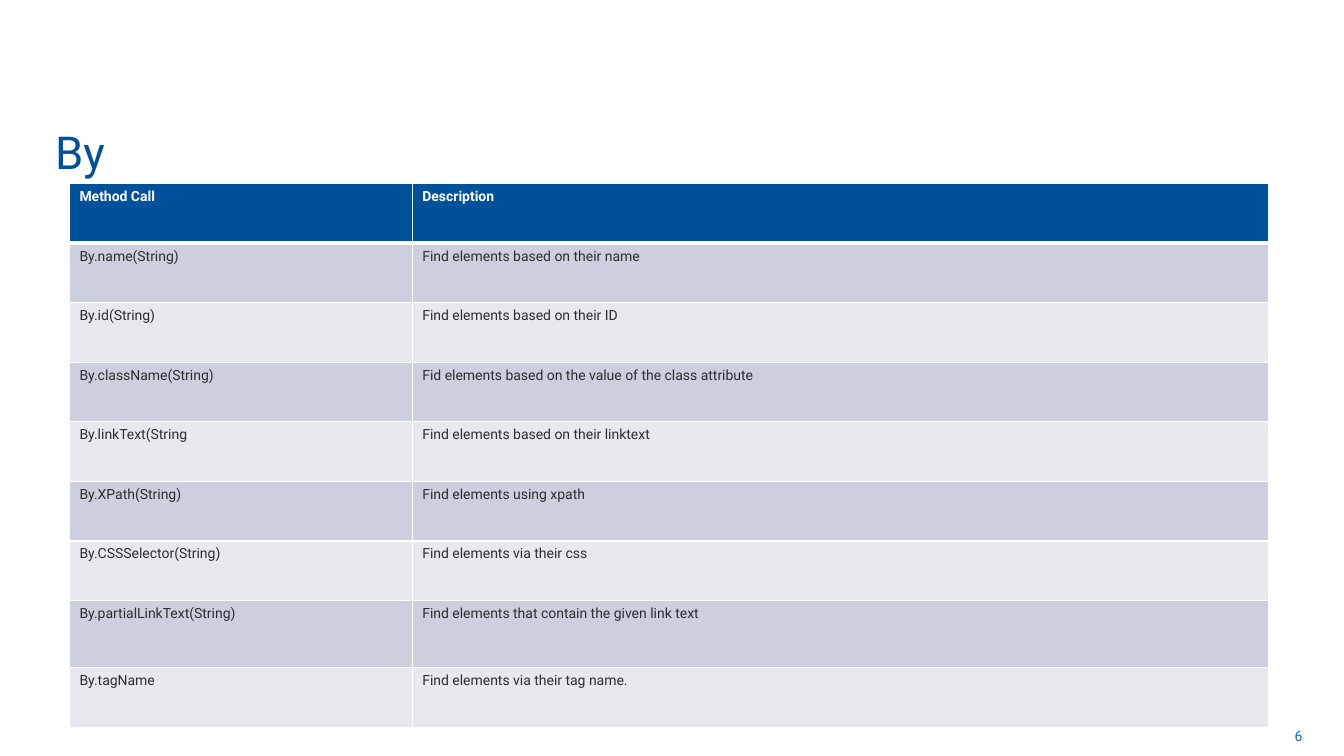
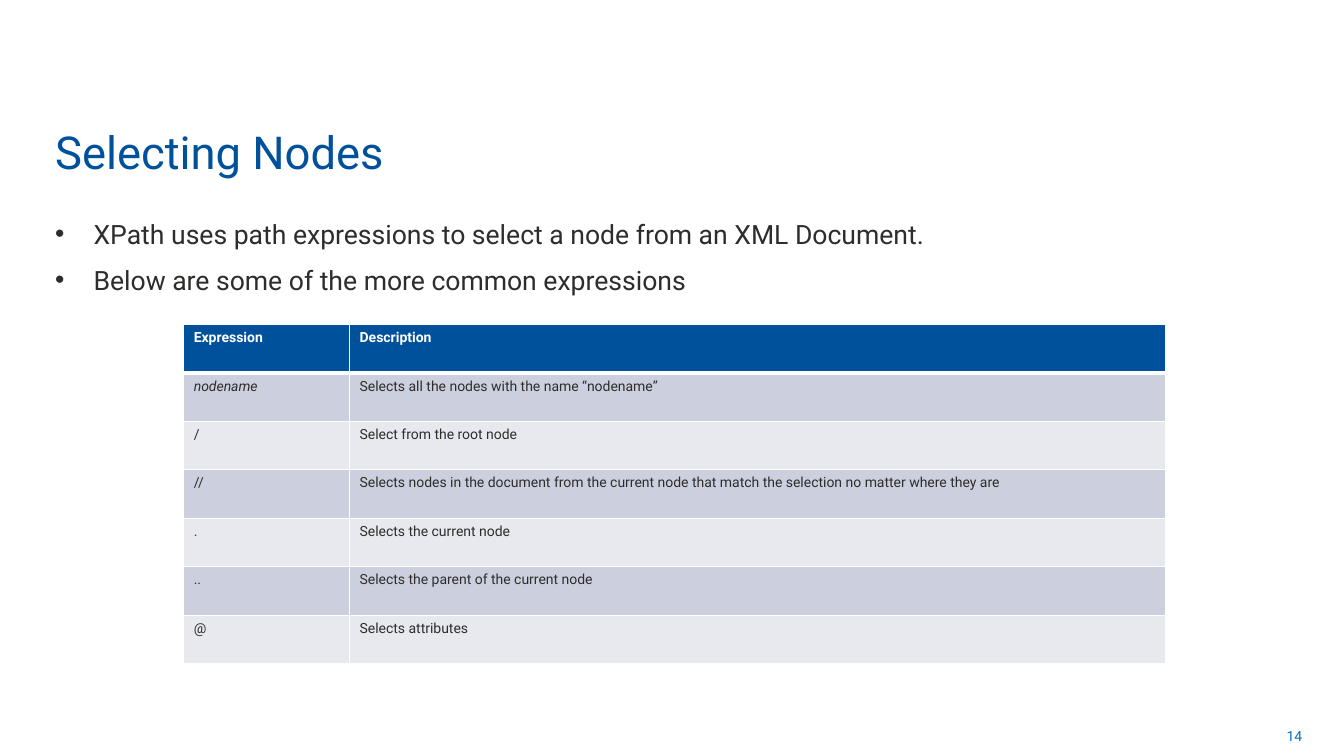
from lxml import etree
from pptx import Presentation
from pptx.dml.color import RGBColor
from pptx.enum import text as t
from pptx.oxml import ns
from pptx.util import Cm, Pt

FONT = "Roboto"
NAVY = RGBColor(0x00, 0x51, 0x9C)
BLUE = RGBColor(0x00, 0x70, 0xC0)
INK = RGBColor(0x2E, 0x2D, 0x2C)
WHITE = RGBColor(0xFF, 0xFF, 0xFF)
BANDS = RGBColor(0xCC, 0xD0, 0xDE), RGBColor(0xE7, 0xE9, 0xEF)

TITLE = {"size": Pt(32.4), "color": NAVY}
BODY = {"size": Pt(19), "color": INK}
PAGE = {"size": Pt(10), "color": BLUE}
HEAD = {"size": Pt(10), "color": WHITE, "bold": True}
CELL = {"size": Pt(10), "color": INK}

# Boxes are left, top, width, height in centimetres
TITLE_BOX = 1.14, 2.87, 25.35, 1.75
BODY_BOX = 1.14, 5.36, 31.67, 12.62
PAGE_BOX = 25.17, 18.03, 7.9, 1.02

CALLS = [
    ("Method Call", "Description"),
    ("By.name(String)", "Find elements based on their name"),
    ("By.id(String)", "Find elements based on their ID"),
    ("By.className(String)",
     "Fid elements based on the value of the class attribute"),
    ("By.linkText(String", "Find elements based on their linktext"),
    ("By.XPath(String)", "Find elements using xpath"),
    ("By.CSSSelector(String)", "Find elements via their css"),
    ("By.partialLinkText(String)",
     "Find elements that contain the given link text"),
    ("By.tagName", "Find elements via their tag name."),
]
POINTS = [
    "XPath uses path expressions to select a node from an XML Document.",
    "Below are some of the more common expressions",
]
NODES = [
    ("Expression", "Description"),
    ("nodename", "Selects all the nodes with the name “nodename”"),
    ("/", "Select from the root node"),
    ("//", "Selects nodes in the document from the current node "
           "that match the selection no matter where they are"),
    (".", "Selects the current node"),
    ("..", "Selects the parent of the current node"),
    ("@", "Selects attributes"),
]


def write(para, words, style):
    run = para.add_run()
    run.text = words
    run.font.name = FONT
    for key, value in style.items():
        if key == "color":
            run.font.color.rgb = value
        else:
            setattr(run.font, key, value)


def add_text(slide, box, lines, style, anchor=t.MSO_ANCHOR.TOP, **form):
    """Add a text box and return its paragraphs, formatted by form."""
    frame = slide.shapes.add_textbox(*map(Cm, box)).text_frame
    frame.word_wrap = True
    frame.vertical_anchor = anchor
    for i, words in enumerate(lines):
        para = frame.add_paragraph() if i else frame.paragraphs[0]
        for key, value in form.items():
            setattr(para, key, value)
        write(para, words, style)
    return frame.paragraphs


def add_list(slide, box, lines):
    for para in add_text(slide, box, lines, BODY,
                         space_before=Pt(2), space_after=Pt(8)):
        props = para._p.get_or_add_pPr()
        props.set("marL", str(Cm(0.97)))
        props.set("indent", str(-Cm(0.97)))
        color = etree.SubElement(props, ns.qn("a:buClr"))
        etree.SubElement(color, ns.qn("a:srgbClr"), val=str(INK))
        etree.SubElement(props, ns.qn("a:buFont"), typeface="Arial")
        etree.SubElement(props, ns.qn("a:buChar"), char="•")


def add_edges(cell, **widths):
    """Draw white cell borders, 1 pt unless widths names the side."""
    props = cell._tc.get_or_add_tcPr()
    for side in "LRTB":
        line = etree.SubElement(props, ns.qn("a:ln" + side),
                                w=str(Pt(widths.get(side, 1))))
        fill = etree.SubElement(line, ns.qn("a:solidFill"))
        etree.SubElement(fill, ns.qn("a:srgbClr"), val=str(WHITE))


def add_grid(slide, left, top, cols, tall, rows):
    """Add a banded table; cols and tall are in centimetres."""
    grid = slide.shapes.add_table(
        len(rows), len(cols), Cm(left), Cm(top),
        Cm(sum(cols)), Cm(tall * len(rows))).table
    for col, wide in zip(grid.columns, cols):
        col.width = Cm(wide)
    for i, row in enumerate(rows):
        grid.rows[i].height = Cm(tall)
        edges = {0: {"B": 3}, 1: {"T": 3}}.get(i, {})
        for j, words in enumerate(row):
            cell = grid.cell(i, j)
            add_edges(cell, **edges)
            cell.fill.solid()
            cell.fill.fore_color.rgb = BANDS[(i - 1) % 2] if i else NAVY
            style = CELL if i else HEAD
            if words == "nodename":
                style = {**style, "italic": True}
            write(cell.text_frame.paragraphs[0], words, style)
    return grid


def add_page(deck, title, number):
    """Add a slide with the shared title and page number."""
    slide = deck.slides.add_slide(deck.slide_layouts[6])
    add_text(slide, PAGE_BOX, [number], PAGE, t.MSO_ANCHOR.MIDDLE,
             alignment=t.PP_ALIGN.RIGHT)
    add_text(slide, TITLE_BOX, [title], TITLE, t.MSO_ANCHOR.BOTTOM)
    return slide


def add_calls(deck):
    slide = add_page(deck, "By", "6")
    grid = add_grid(slide, 1.75, 4.63, (8.64, 21.58), 1.5, CALLS)
    grid.rows[7].height = Cm(1.7)


def add_nodes(deck):
    slide = add_page(deck, "Selecting Nodes", "14")
    add_list(slide, BODY_BOX, POINTS)
    add_grid(slide, 4.63, 8.18, (4.18, 20.57), 1.22, NODES)


def main():
    deck = Presentation()
    deck.slide_width, deck.slide_height = Cm(33.87), Cm(19.05)
    add_calls(deck)
    add_nodes(deck)
    deck.save("out.pptx")


if __name__ == "__main__":
    main()
